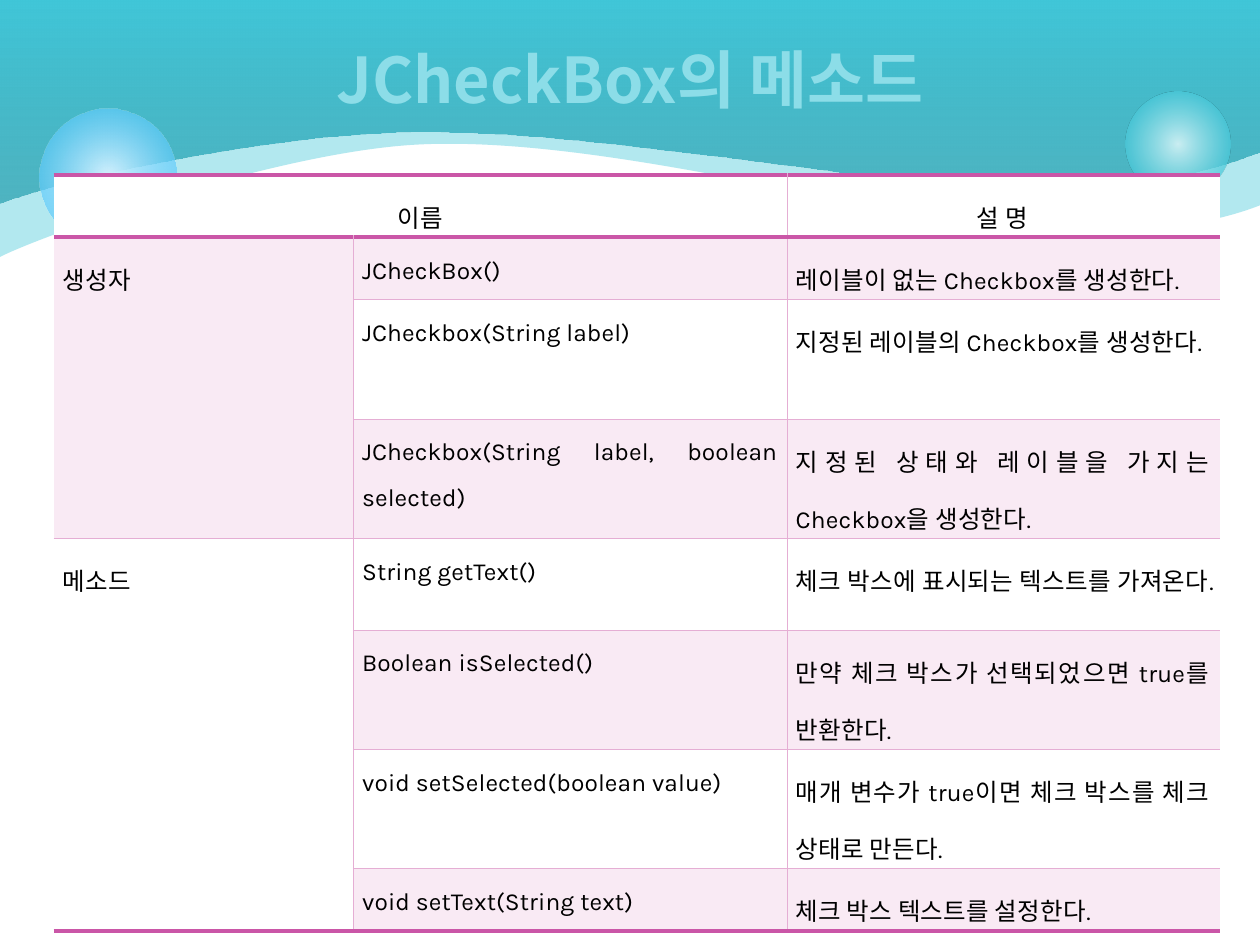
import lxml.etree
import pptx
import pptx.dml.color
import pptx.enum.shapes
import pptx.enum.text
import pptx.oxml.ns
import pptx.util

Cm = pptx.util.Cm
RGBColor = pptx.dml.color.RGBColor
qn = pptx.oxml.ns.qn
ALIGN = pptx.enum.text.PP_ALIGN
ANCHOR = pptx.enum.text.MSO_ANCHOR

AQUA = RGBColor(0x40, 0xC6, 0xD8)
TEAL = RGBColor(0x24, 0x9E, 0xAE)
PALE_AQUA = RGBColor(0xD9, 0xF4, 0xF7)
SKY = RGBColor(0x33, 0xBD, 0xFB)
PALE_SKY = RGBColor(0xD6, 0xF2, 0xFE)
TITLE_COLOR = RGBColor(0x8C, 0xDD, 0xE8)
MAGENTA = RGBColor(0xCA, 0x56, 0xA7)
PINK = RGBColor(0xE5, 0xAE, 0xD4)
PALE_PINK = RGBColor(0xF9, 0xEA, 0xF4)
WHITE = RGBColor(0xFF, 0xFF, 0xFF)
BLACK = RGBColor(0, 0, 0)

OUTER_WAVE = [
    (0, 5.18),
    (0.84, 4.75), (5.44, 3.1), (8.33, 2.92),
    (11.25, 2.74), (15.39, 3.76), (17.45, 4.09),
    (19.51, 4.39), (22.91, 5.11), (25.4, 4.14),
]
INNER_WAVE = [
    (0, 4.11),
    (1.14, 3.66), (5.16, 2.74), (8.28, 2.67),
    (11.4, 2.59), (16.71, 3.53), (18.72, 3.66),
    (20.73, 3.78), (22.91, 4.04), (25.4, 3.07),
]
COLUMN_WIDTHS = [6.04, 8.74, 8.73]
COLUMN_SPACING = [10, 6, 10]
ROW_HEIGHTS = [0.91, 0.91, 1.85, 1.88, 1.85, 1.85, 1.85, 0.91]
ROWS = [
    ("이름", "", "설 명"),
    ("생성자", "JCheckBox()", "레이블이 없는 Checkbox를 생성한다."),
    ("", "JCheckbox(String label)", "지정된 레이블의 Checkbox를 생성한다."),
    ("", "JCheckbox(String label, boolean selected)",
     "지정된 상태와 레이블을 가지는 Checkbox을 생성한다."),
    ("메소드", "String getText()", "체크 박스에 표시되는 텍스트를 가져온다."),
    ("", "Boolean isSelected()", "만약 체크 박스가 선택되었으면 true를 반환한다."),
    ("", "void setSelected(boolean value)",
     "매개 변수가 true이면 체크 박스를 체크 상태로 만든다."),
    ("", "void setText(String text)", "체크 박스 텍스트를 설정한다."),
]
MERGES = [((0, 0), (0, 1)), ((1, 0), (3, 0)), ((4, 0), (7, 0))]
GROUP_BOTTOMS = {1: 4, 4: 8}
HEAVY_EDGES = (0, 1, 8)


def add_element(parent, tag, **attributes):
    values = {name: str(value) for name, value in attributes.items()}
    return lxml.etree.SubElement(parent, qn(tag), values)


def add_color(parent, color, opacity=100):
    element = add_element(parent, "a:srgbClr", val=color)
    if opacity < 100:
        add_element(element, "a:alpha", val=opacity * 1000)


class SlideBuilder:
    latin_font = "Karla"
    korean_font = "Noto Sans CJK KR"
    table_size = 14
    title_size = 36

    def __init__(self, presentation):
        self.slide = presentation.slides.add_slide(presentation.slide_layouts[5])

    def format_paragraph(self, paragraph, latin, size, color, alignment, spacing):
        paragraph.alignment = alignment
        font = paragraph.font
        font.name = latin
        font.size = pptx.util.Pt(size)
        font.color.rgb = color
        properties = paragraph._p.pPr.find(qn("a:defRPr"))
        properties.set("spc", str(spacing))
        add_element(properties, "a:ea", typeface=self.korean_font)

    def paint(self, shape, stops, angle=None):
        shape.shadow.inherit = False
        shape.line.fill.background()
        shape.fill.background()
        old_fill = shape._element.spPr.find(qn("a:noFill"))
        if len(stops) == 1:
            fill = lxml.etree.Element(qn("a:solidFill"))
            add_color(fill, *stops[0][1:])
        else:
            fill = lxml.etree.Element(qn("a:gradFill"), rotWithShape="1")
            stop_list = add_element(fill, "a:gsLst")
            for position, color, opacity in stops:
                stop = add_element(stop_list, "a:gs", pos=position * 1000)
                add_color(stop, color, opacity)
            if angle is None:
                gradient_path = add_element(fill, "a:path", path="circle")
                add_element(gradient_path, "a:fillToRect",
                            l=50000, t=50000, r=50000, b=50000)
            else:
                add_element(fill, "a:lin", ang=angle * 60000, scaled=0)
        shape._element.spPr.replace(old_fill, fill)

    def wave(self, points, stops, angle=None):
        points = [(Cm(x), Cm(y)) for x, y in points]
        builder = self.slide.shapes.build_freeform(0, 0)
        builder.add_line_segments([*points[::3], (Cm(25.4), 0)], close=True)
        shape = builder.convert_to_shape()
        segments = list(shape._element.iter(qn("a:lnTo")))[1:4]
        for index, segment in enumerate(segments):
            curve = lxml.etree.Element(qn("a:cubicBezTo"))
            for x, y in points[3 * index + 1:3 * index + 4]:
                add_element(curve, "a:pt", x=int(x), y=int(y))
            segment.getparent().replace(segment, curve)
        self.paint(shape, stops, angle)

    def bubble(self, left, top, diameter, stops):
        shape = self.slide.shapes.add_shape(
            pptx.enum.shapes.MSO_SHAPE.OVAL,
            Cm(left), Cm(top), Cm(diameter), Cm(diameter))
        self.paint(shape, stops)

    def title(self, text, left, top, width, height):
        shape = self.slide.shapes.title
        shape.left, shape.top = Cm(left), Cm(top)
        shape.width, shape.height = Cm(width), Cm(height)
        shape.text_frame.text = text
        shape.text_frame.vertical_anchor = ANCHOR.MIDDLE
        paragraph = shape.text_frame.paragraphs[0]
        self.format_paragraph(
            paragraph, self.korean_font, self.title_size, TITLE_COLOR, ALIGN.CENTER, -5)
        paragraph.font.bold = True
        self.slide.shapes._spTree.append(shape._element)

    def border(self, cell, side, weight, color):
        properties = cell._tc.get_or_add_tcPr()
        line = add_element(properties, f"a:ln{side}", w=pptx.util.Pt(weight))
        if weight:
            add_color(add_element(line, "a:solidFill"), color)
        else:
            add_element(line, "a:noFill")

    def cell_borders(self, cell, row, column):
        for side, edge in (("L", column), ("R", column + 1)):
            hidden = edge in (0, len(COLUMN_WIDTHS)) or (row == 0 and edge == 1)
            self.border(cell, side, 0 if hidden else 0.28, PINK)
        bottom = GROUP_BOTTOMS.get(row, row + 1) if column == 0 else row + 1
        for side, edge in (("T", row), ("B", bottom)):
            if edge in HEAVY_EDGES:
                self.border(cell, side, 2.55, MAGENTA)
            else:
                hidden = column == 0 and edge not in GROUP_BOTTOMS
                self.border(cell, side, 0 if hidden else 0.28, PINK)

    def table_cell(self, cell, text, row, column):
        self.cell_borders(cell, row, column)
        cell.fill.solid()
        cell.fill.fore_color.rgb = PALE_PINK if row % 2 else WHITE
        cell.margin_left = Cm(0.18)
        cell.margin_right = Cm(0.21 if column == 2 else 0.18)
        cell.margin_top = cell.margin_bottom = Cm(0.05)
        cell.vertical_anchor = ANCHOR.TOP if row else ANCHOR.MIDDLE
        cell.text = text
        paragraph = cell.text_frame.paragraphs[0]
        paragraph.line_spacing = 1.6
        self.format_paragraph(
            paragraph, self.latin_font, self.table_size, BLACK,
            ALIGN.JUSTIFY if row else ALIGN.CENTER, COLUMN_SPACING[column])

    def table(self, left, top):
        table = self.slide.shapes.add_table(
            len(ROWS), len(COLUMN_WIDTHS), Cm(left), Cm(top),
            Cm(sum(COLUMN_WIDTHS)), Cm(sum(ROW_HEIGHTS))).table
        table.first_row = table.horz_banding = False
        for column, width in zip(table.columns, COLUMN_WIDTHS):
            column.width = Cm(width)
        for row, height in zip(table.rows, ROW_HEIGHTS):
            row.height = Cm(height)
        for row, texts in enumerate(ROWS):
            for column, text in enumerate(texts):
                self.table_cell(table.cell(row, column), text, row, column)
        for first, last in MERGES:
            table.cell(*first).merge(table.cell(*last))


def main():
    presentation = pptx.Presentation()
    presentation.slide_width = Cm(25.4)
    presentation.slide_height = Cm(19.05)
    builder = SlideBuilder(presentation)
    builder.wave(OUTER_WAVE, [(0, AQUA, 40)])
    builder.wave(INNER_WAVE, [(0, TEAL, 69), (100, AQUA, 100)], angle=270)
    builder.bubble(22.69, 1.85, 2.11, [(0, PALE_AQUA, 90), (76, AQUA, 70)])
    builder.bubble(0.79, 2.18, 2.77, [(0, PALE_SKY, 100), (100, SKY, 54)])
    builder.title("JCheckBox의 메소드", 1.27, 0, 22.86, 3.15)
    builder.table(1.08, 3.53)
    presentation.save("out.pptx")


if __name__ == "__main__":
    main()
